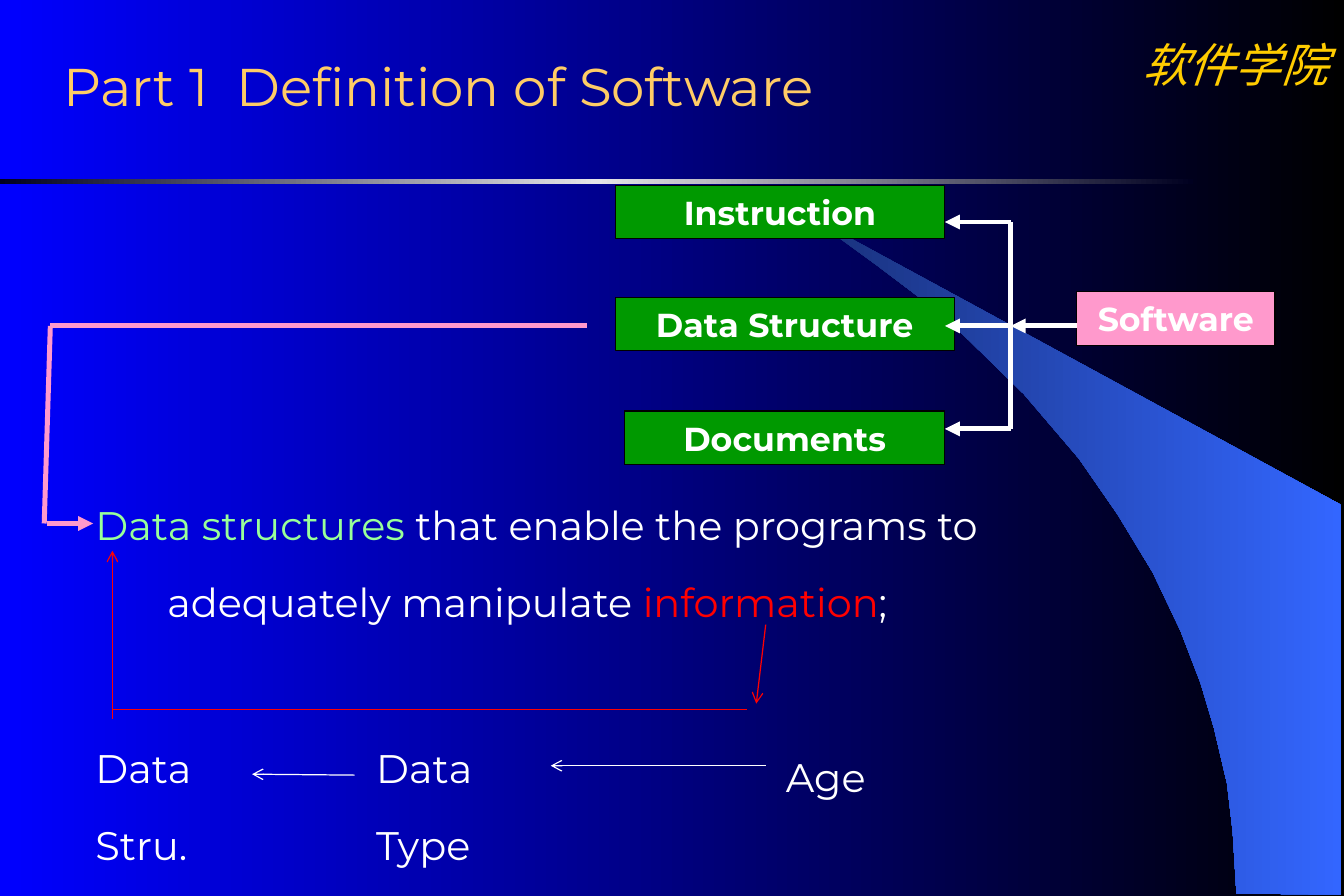
from copy import deepcopy

from lxml.etree import SubElement
from pptx import Presentation
from pptx.dml.color import RGBColor
from pptx.enum.shapes import MSO_CONNECTOR, MSO_SHAPE
from pptx.enum.text import MSO_ANCHOR, MSO_AUTO_SIZE, PP_ALIGN
from pptx.oxml.ns import qn
from pptx.util import Cm, Pt

WHITE, PINK, GREEN, RED = "FFFFFF", "FF99CC", "009900", "FF0000"


def colour(value):
    return RGBColor.from_string(value)


def format_font(font, size, value, name="Montserrat"):
    font.name = name
    font.size = Pt(size)
    font.color.rgb = colour(value)


deck = Presentation()
deck.slide_width, deck.slide_height = Cm(28.575), Cm(19.05)
page = deck.slides.add_slide(deck.slide_layouts[5])

# Swoosh and bar behind the content
outline = [
    (26.29, 19), (28.52, 19.02), (28.52, 10.74), (16.84, 4.39), (17.83, 5.05),
    (18.64, 5.64), (19.58, 6.35), (20.47, 7.11), (21.77, 8.38), (22.94, 9.75),
    (23.77, 10.95), (24.51, 12.17), (25.1, 13.41), (25.53, 14.53),
    (25.81, 15.47), (26.09, 16.66), (26.21, 17.68),
]
points = [(Cm(x), Cm(y)) for x, y in outline]
builder = page.shapes.build_freeform(*points[0])
builder.add_line_segments(points[1:], close=True)
swoosh = builder.convert_to_shape()
bar = page.shapes.add_shape(MSO_SHAPE.RECTANGLE, 0, Cm(3.81), Cm(25.37), Cm(0.1))
for shape in (swoosh, bar):
    shape.shadow.inherit = False
    shape.line.fill.background()

# Left-to-right gradients with evenly spaced stops
bar.fill.gradient()
stop_list = bar.element.spPr.find(qn("a:gradFill")).find(qn("a:gsLst"))
stop_list.append(deepcopy(stop_list[0]))
page.background.fill.gradient()
swoosh.fill.gradient()
for fill, values in [
    (page.background.fill, ["0000FF", "000000"]),
    (swoosh.fill, ["182F76", "3366FF"]),
    (bar.fill, ["000020", "E5E5E8", "000020"]),
]:
    fill.gradient_angle = 0
    for index, (stop, value) in enumerate(zip(fill.gradient_stops, values)):
        stop.position = index / (len(values) - 1)
        stop.color.rgb = colour(value)

# Title
title = page.shapes.title
title.left, title.top, title.width, title.height = Cm(1.09), Cm(1.12), Cm(19.61), Cm(1.4)
title.text_frame.text = "Part 1  Definition of Software"
title.text_frame.auto_size = MSO_AUTO_SIZE.NONE
title.text_frame.vertical_anchor = MSO_ANCHOR.MIDDLE
heading = title.text_frame.paragraphs[0]
heading.alignment = PP_ALIGN.LEFT
format_font(heading.runs[0].font, 32, "FFCC66")

# School name in the corner
school = page.shapes.add_textbox(Cm(23.93), Cm(0.64), Cm(4.65), Cm(1.45))
school.text_frame.word_wrap = True
school.text_frame.text = "软件学院"
para = school.text_frame.paragraphs[0]
para.alignment = PP_ALIGN.CENTER
format_font(para.runs[0].font, 28, "FFCC00", "Times New Roman")
para.runs[0].font.italic = True

# Software and its three parts
for label, left, top, width, value in [
    ("Software", 22.89, 6.2, 4.22, PINK),
    ("Documents", 13.28, 8.74, 6.81, GREEN),
    ("Data Structure", 13.08, 6.32, 7.21, GREEN),
    ("Instruction", 13.08, 3.94, 7.01, GREEN),
]:
    box = page.shapes.add_shape(
        MSO_SHAPE.RECTANGLE, Cm(left), Cm(top), Cm(width), Cm(1.14))
    box.shadow.inherit = False
    box.fill.solid()
    box.fill.fore_color.rgb = colour(value)
    box.line.color.rgb = colour("000000")
    box.line.width = Pt(0.75)
    box.text_frame.text = label
    para = box.text_frame.paragraphs[0]
    para.alignment = PP_ALIGN.CENTER
    format_font(para.runs[0].font, 20, WHITE)
    para.runs[0].font.bold = True

# Definition and the example words: paragraphs of (text, colour) spans
definition = [
    [("Data structures", "99FF99"), (" that enable the programs to", WHITE)],
    [("adequately manipulate ", WHITE), ("information", RED), (";", WHITE)],
]
for left, top, width, height, paragraphs in [
    (1.78, 10.11, 24, 2.59, definition),
    (16.46, 15.47, 3.38, 2.59, [[("Age", WHITE)]]),
    (7.75, 15.29, 3.38, 3.76, [[("Data", WHITE)], [("Type", WHITE)]]),
    (1.78, 15.29, 3.38, 3.76, [[("Data", WHITE)], [("Stru.", WHITE)]]),
]:
    box = page.shapes.add_textbox(Cm(left), Cm(top), Cm(width), Cm(height))
    frame = box.text_frame
    frame.word_wrap = True
    for index, spans in enumerate(paragraphs):
        para = frame.add_paragraph() if index else frame.paragraphs[0]
        para.line_spacing = 1.4
        if index:
            para.space_before = Pt(6)
        if index and paragraphs is definition:
            para._p.get_or_add_pPr().set("marL", str(Cm(1.53)))
        for text, value in spans:
            span = para.add_run()
            span.text = text
            format_font(span.font, 24, value)

# Lines and arrows: start, end, colour, width, arrowhead
trunk, branch_end = 21.49, 20.09
links = [
    ((22.89, 6.93), (trunk, 6.93), WHITE, 3, "triangle"),
    ((trunk, 9.12), (trunk, 4.72), WHITE, 3, None),
    ((1.07, 6.93), (12.47, 6.93), PINK, 3, None),
    ((1.07, 6.93), (0.94, 11.13), PINK, 3, None),
    ((0.99, 11.13), (1.98, 11.13), PINK, 3, "triangle"),
    ((16.28, 13.28), (16.08, 14.96), RED, 0.75, "arrow"),
    ((2.39, 15.09), (15.88, 15.09), RED, 0.75, None),
    ((2.39, 15.29), (2.39, 11.71), RED, 0.75, "arrow"),
    ((16.28, 16.28), (11.71, 16.28), WHITE, 0.75, "arrow"),
    ((7.54, 16.48), (5.36, 16.46), WHITE, 0.75, "arrow"),
]
for y in (4.72, 6.93, 9.12):
    links.append(((trunk, y), (branch_end, y), WHITE, 3, "triangle"))
for start, end, value, width, arrowhead in links:
    link = page.shapes.add_connector(
        MSO_CONNECTOR.STRAIGHT, *(Cm(length) for length in start + end))
    link.line.color.rgb = colour(value)
    link.line.width = Pt(width)
    properties = link.element.spPr
    if arrowhead:
        SubElement(properties.find(qn("a:ln")), qn("a:tailEnd"), type=arrowhead)
    SubElement(properties, qn("a:effectLst"))

deck.save("out.pptx")
